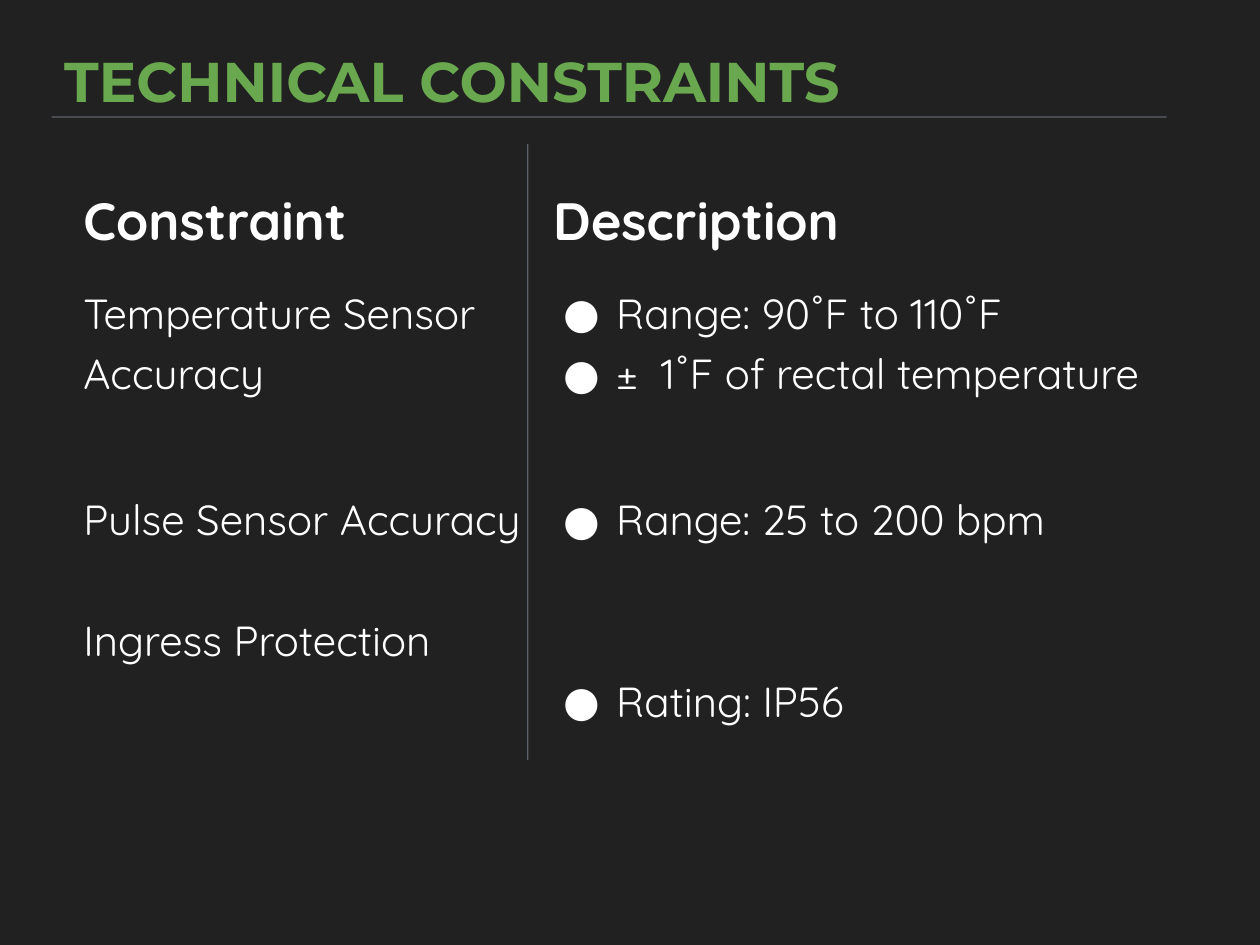
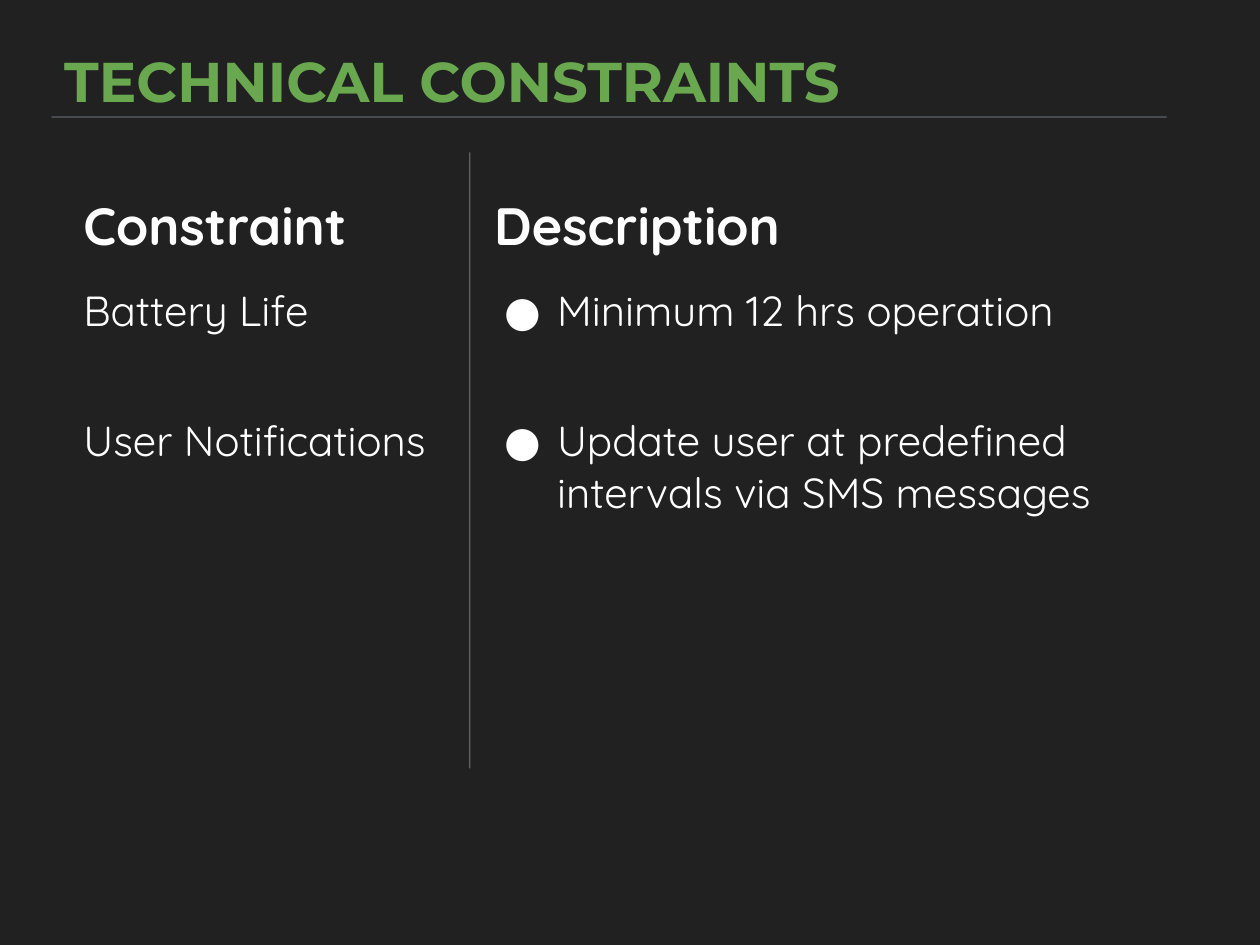
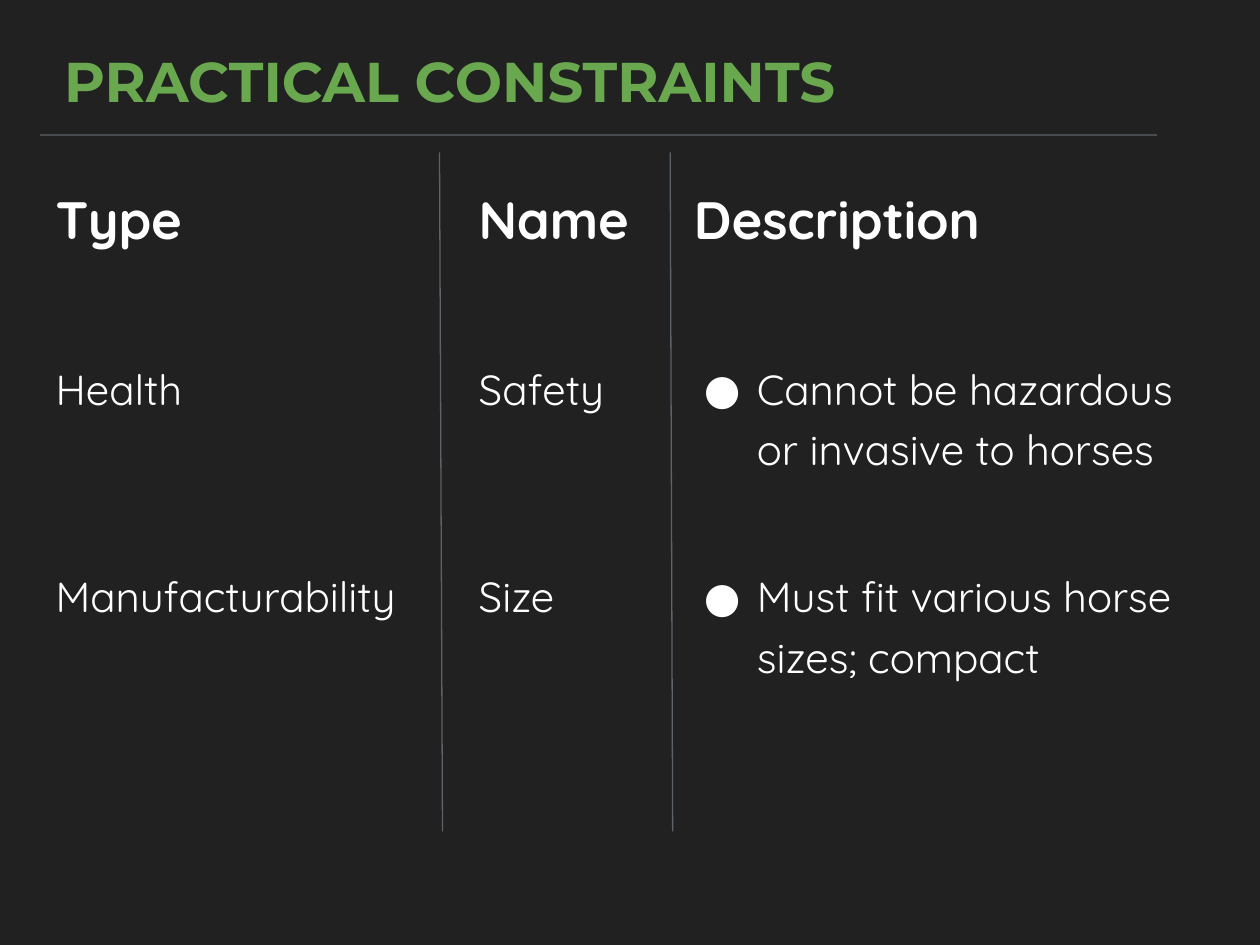
from enum import Enum

from pptx import Presentation
from pptx.dml.color import RGBColor
from pptx.enum.shapes import MSO_CONNECTOR
from pptx.enum.text import MSO_ANCHOR, MSO_AUTO_SIZE
from pptx.oxml import parse_xml
from pptx.oxml.ns import nsdecls, qn
from pptx.util import Cm, Pt


class Theme:
    background = RGBColor.from_string("212121")
    accent = RGBColor.from_string("6AA84F")
    text = RGBColor.from_string("FFFFFF")
    rule = RGBColor.from_string("858E99")
    title_font, text_font = "Montserrat", "Quicksand"
    title_size, header_size, text_size = Pt(32), Pt(30), Pt(24)
    rule_width = Pt(0.75)
    blank_line = 34.5  # points in one line of table text


def element(markup):
    """Make a drawing element from a tag with its attributes and content."""
    name = markup.split()[0].strip("<>/").split(">")[0]
    return parse_xml(markup.replace(f"<{name}", f"<{name} {nsdecls('a')}", 1))


def add_rule(page, start_x, start_y, end_x, end_y):
    """Draw a thin, partly transparent line; lengths in centimetres."""
    rule = page.shapes.add_connector(
        MSO_CONNECTOR.STRAIGHT, Cm(start_x), Cm(start_y), Cm(end_x), Cm(end_y))
    rule.line.color.rgb = Theme.rule
    rule.line.width = Theme.rule_width
    shape_xml = rule.line._ln.getparent()
    colour = shape_xml.find(".//" + qn("a:srgbClr"))
    colour.append(element('<a:alpha val="60000"/>'))
    shape_xml.append(element("<a:effectLst/>"))


# Content: a cell is a list of (blank lines above, text); lengths in centimetres
pages = [
    {
        "title": "TECHNICAL CONSTRAINTS",
        "corner": (1.5, 3.35),
        "columns": (9.47, 13.36),
        "rows": (2.03, 4.17, 4.47, 3.89),
        "spacing": 1.15,
        "cells": [
            [[(0, "Constraint")], [(0, "Description")]],
            [[(0, "Temperature Sensor Accuracy")],
             [(0, "Range: 90˚F to 110˚F"), (0, "±  1˚F of rectal temperature")]],
            [[(0, "Pulse Sensor Accuracy"), (1, "Ingress Protection")],
             [(0, "Range: 25 to 200 bpm"), (2, "Rating: IP56")]],
            [[], []],
        ],
        "rules": [(1.04, 2.36, 23.52, 2.36), (10.64, 2.9, 10.64, 15.32)],
    },
    {
        "title": "TECHNICAL CONSTRAINTS",
        "corner": (1.5, 3.45),
        "columns": (8.28, 13.26),
        "rows": (2.03, 2.62, 4.5),
        "spacing": 1.0,
        "cells": [
            [[(0, "Constraint")], [(0, "Description")]],
            [[(0, "Battery Life")], [(0, "Minimum 12 hrs operation")]],
            [[(0, "User Notifications")],
             [(0, "Update user at predefined intervals via SMS messages")]],
        ],
        "rules": [(1.04, 2.36, 23.52, 2.36), (9.47, 3.07, 9.47, 15.49)],
    },
    {
        "title": "PRACTICAL CONSTRAINTS",
        "corner": (0.94, 3.33),
        "columns": (8.53, 4.34, 10.92),
        "rows": (3.58, 4.19, 4.19),
        "spacing": 1.15,
        "cells": [
            [[(0, "Type")], [(0, "Name")], [(0, "Description")]],
            [[(0, "Health")], [(0, "Safety")],
             [(0, "Cannot be hazardous or invasive to horses")]],
            [[(0, "Manufacturability")], [(0, "Size")],
             [(0, "Must fit various horse sizes; compact")]],
        ],
        "rules": [(0.81, 2.72, 23.32, 2.72), (8.86, 3.07, 8.92, 16.76),
                  (13.51, 3.07, 13.56, 16.76)],
    },
]

# Deck with a shared dark background
deck = Presentation()
deck.slide_width, deck.slide_height = Cm(25.4), Cm(19.05)
backdrop = deck.slide_master.background.fill
backdrop.solid()
backdrop.fore_color.rgb = Theme.background
title_only = deck.slide_layouts.get_by_name("Title Only")

for content in pages:
    page = deck.slides.add_slide(title_only)

    # Title
    title = page.shapes.title
    title.left, title.top, title.width, title.height = Cm(1.04), Cm(0.81), Cm(18.6), Cm(1.55)
    frame = title.text_frame
    frame.auto_size = MSO_AUTO_SIZE.NONE
    frame.vertical_anchor = MSO_ANCHOR.TOP
    para = frame.paragraphs[0]
    para.alignment = 1  # left
    span = para.add_run()
    span.text = content["title"]
    span.font.name, span.font.size, span.font.bold = Theme.title_font, Theme.title_size, True
    span.font.color.rgb = Theme.accent

    # Table grid
    left, top = content["corner"]
    columns, rows = content["columns"], content["rows"]
    table = page.shapes.add_table(
        len(rows), len(columns), Cm(left), Cm(top), Cm(sum(columns)), Cm(sum(rows))).table
    table.first_row = table.horz_banding = False
    for column, width in zip(table.columns, columns):
        column.width = Cm(width)
    for row, height in zip(table.rows, rows):
        row.height = Cm(height)

    # Table cells
    for row_index, row_cells in enumerate(content["cells"]):
        is_header = row_index == 0
        for column_index, lines in enumerate(row_cells):
            cell = table.cell(row_index, column_index)
            cell.margin_left = cell.margin_right = Cm(0.18)
            cell.margin_top = cell.margin_bottom = Cm(0.25)
            cell.fill.background()
            for position, side in enumerate("LRTB"):
                cell._tc.tcPr.insert(
                    position, element(f'<a:ln{side} w="0"><a:noFill/></a:ln{side}>'))
            is_list = not is_header and column_index == len(columns) - 1

            for line_index, (blank_lines, text) in enumerate(lines):
                frame = cell.text_frame
                para = frame.add_paragraph() if line_index else frame.paragraphs[0]
                if is_list:
                    properties = para._p.get_or_add_pPr()
                    properties.set("marL", str(Cm(1.27)))
                    properties.set("indent", str(-Cm(1.07)))
                    properties.append(element(
                        f'<a:buClr><a:srgbClr val="{Theme.text}"/></a:buClr>'))
                    properties.append(element(f'<a:buFont typeface="{Theme.text_font}"/>'))
                    properties.append(element('<a:buChar char="●"/>'))
                para.line_spacing = 1.15 if is_header else content["spacing"]
                if blank_lines:
                    para.space_before = Pt(blank_lines * Theme.blank_line)
                span = para.add_run()
                span.text = text
                span.font.name = Theme.text_font
                span.font.size = Theme.header_size if is_header else Theme.text_size
                span.font.bold = is_header
                span.font.color.rgb = Theme.text

    # Title rule and column dividers
    for ends in content["rules"]:
        add_rule(page, *ends)

deck.save("out.pptx")
